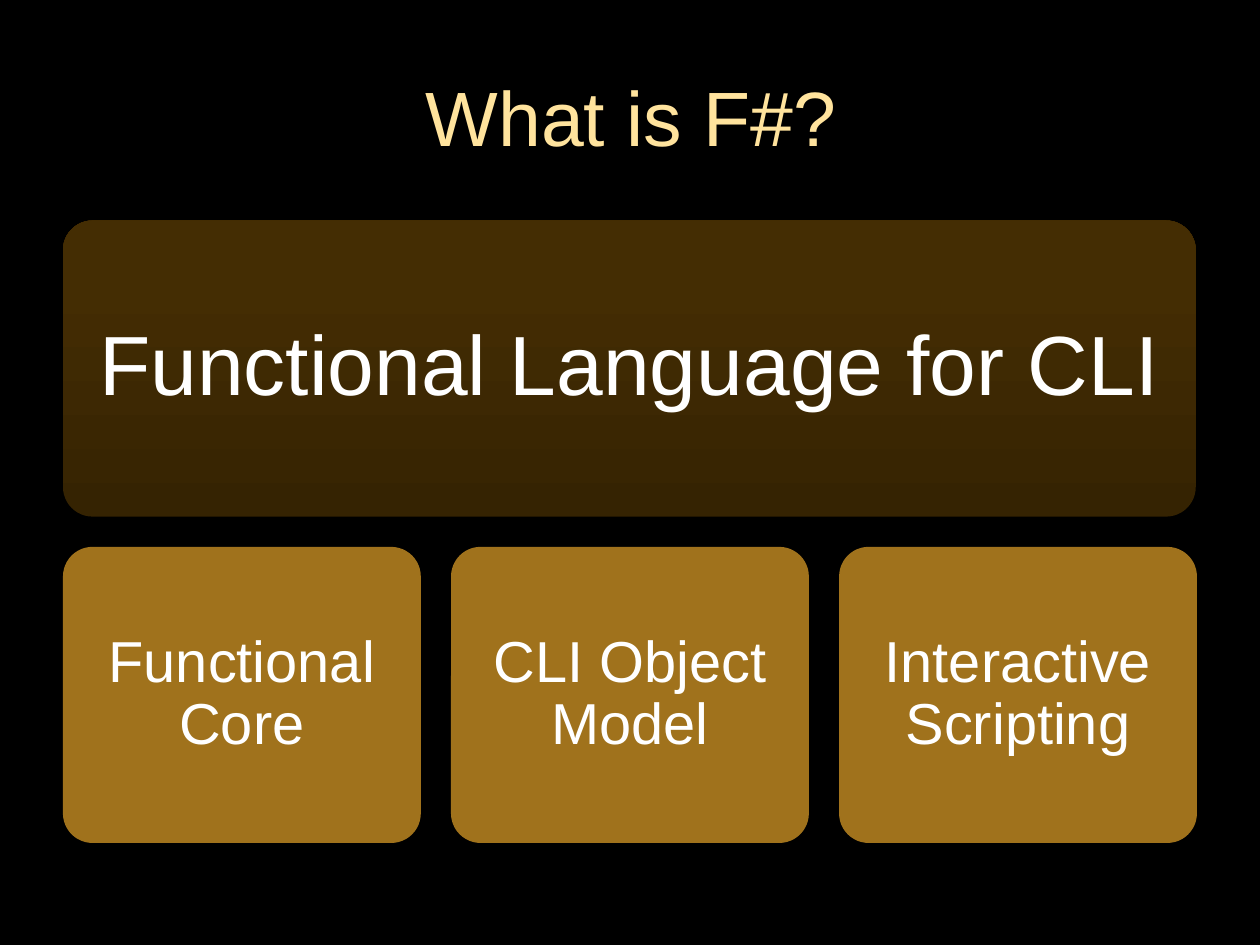
from copy import deepcopy

from pptx import Presentation
from pptx.dml.color import RGBColor
from pptx.enum import shapes, text
from pptx.oxml.ns import qn
from pptx.util import Inches, Pt


def rgb(code):
    return RGBColor.from_string(code)


def card(left, top, width, label, size, inset):
    """Add a rounded box with centred white text."""
    box = slide.shapes.add_shape(
        shapes.MSO_SHAPE.ROUNDED_RECTANGLE,
        Inches(left), Inches(top), Inches(width), Inches(2.35))
    box.adjustments[0] = 0.1
    box.shadow.inherit = False
    box.line.fill.background()
    frame = box.text_frame
    frame.word_wrap = True
    frame.vertical_anchor = text.MSO_ANCHOR.MIDDLE
    frame.margin_left = frame.margin_right = Inches(inset)
    frame.margin_top = frame.margin_bottom = Inches(inset)
    frame.text = label
    para = frame.paragraphs[0]
    para.alignment = text.PP_ALIGN.CENTER
    para.line_spacing = 0.9
    para.font.name = "Arial"
    para.font.size = Pt(size)
    para.font.color.rgb = rgb("FFFFFF")
    return box


prs = Presentation()
prs.slide_width, prs.slide_height = Inches(10), Inches(7.5)
slide = prs.slides.add_slide(prs.slide_layouts[5])
slide.background.fill.solid()
slide.background.fill.fore_color.rgb = rgb("000000")

title = slide.shapes.title
title.left, title.top = Inches(0.51), Inches(0.29)
title.width, title.height = Inches(9), Inches(1.25)
title.text_frame.text = "What is F#?"
title.text_frame.vertical_anchor = text.MSO_ANCHOR.MIDDLE
head = title.text_frame.paragraphs[0]
head.alignment = text.PP_ALIGN.CENTER
head.font.name = "Arial"
head.font.size = Pt(44)
head.font.color.rgb = rgb("FFE39D")

# Top banner, shaded from dark at the bottom to lighter at the top
banner = card(0.5, 1.75, 8.99, "Functional Language for CLI", 48, 0.2)
banner.fill.gradient()
banner.fill.gradient_angle = 90
stops = banner._element.spPr.find(".//" + qn("a:gsLst"))
stops.insert(1, deepcopy(stops[0]))
shades = [(0, "352302"), (0.8, "442D03"), (1, "462E02")]
for stop, (place, shade) in zip(banner.fill.gradient_stops, shades):
    stop.position = place
    stop.color.rgb = rgb(shade)

# Three pillars below
pillars = ["Functional Core", "CLI Object Model", "Interactive Scripting"]
for i, label in enumerate(pillars):
    pillar = card(0.5 + i * 3.08, 4.34, 2.84, label, 33, 0.14)
    pillar.fill.solid()
    pillar.fill.fore_color.rgb = rgb("A0721C")

prs.save("out.pptx")
